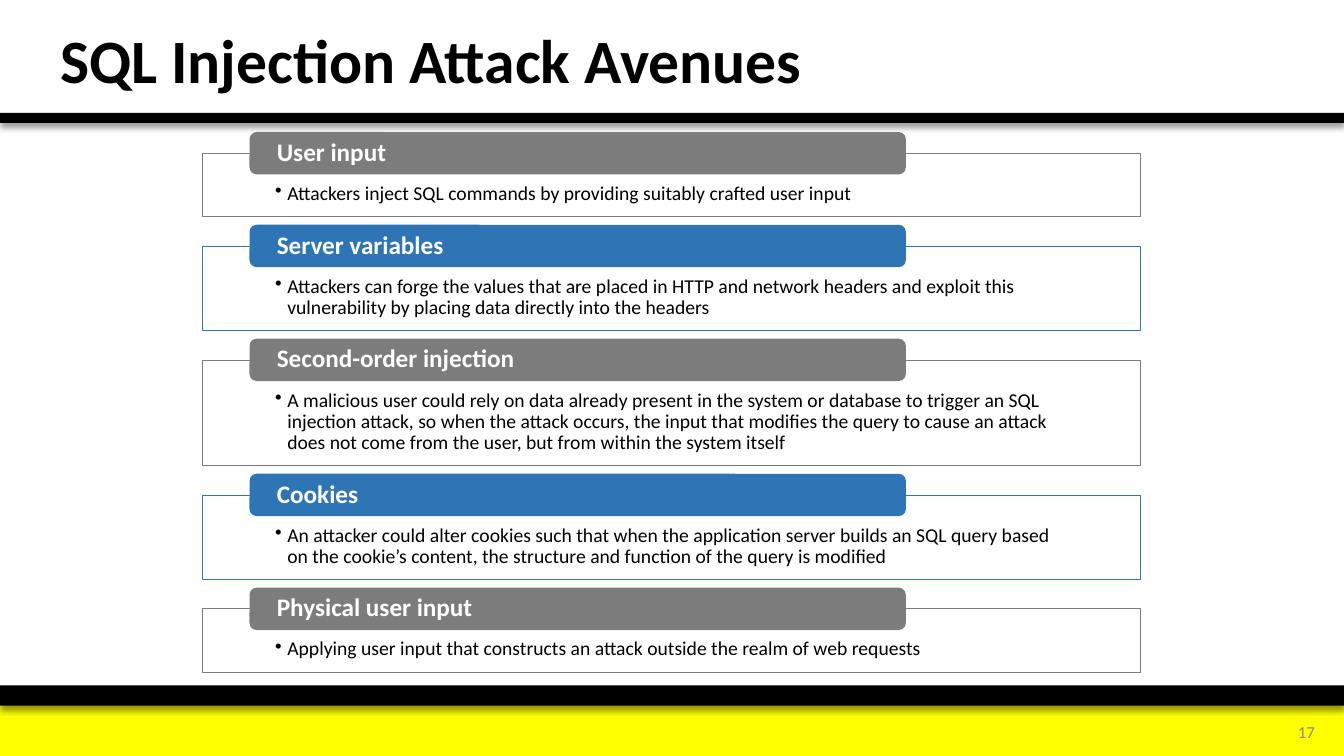
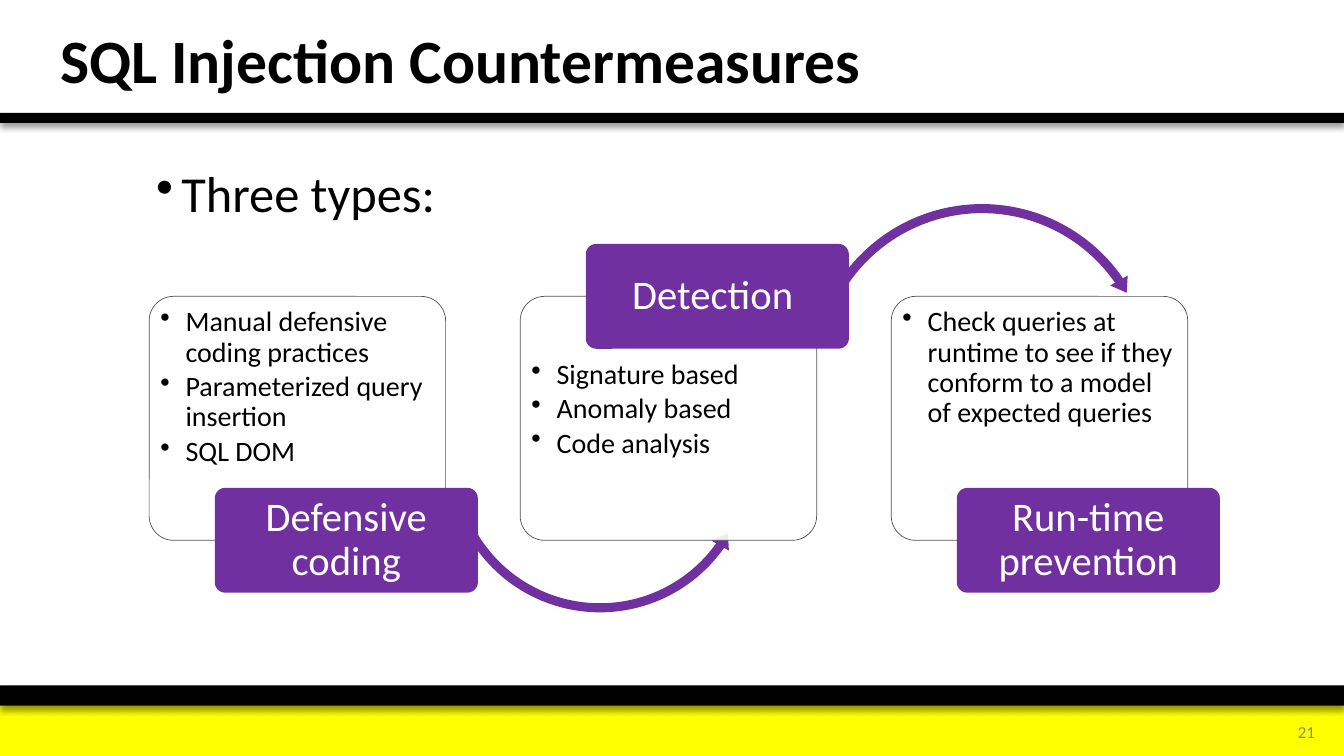
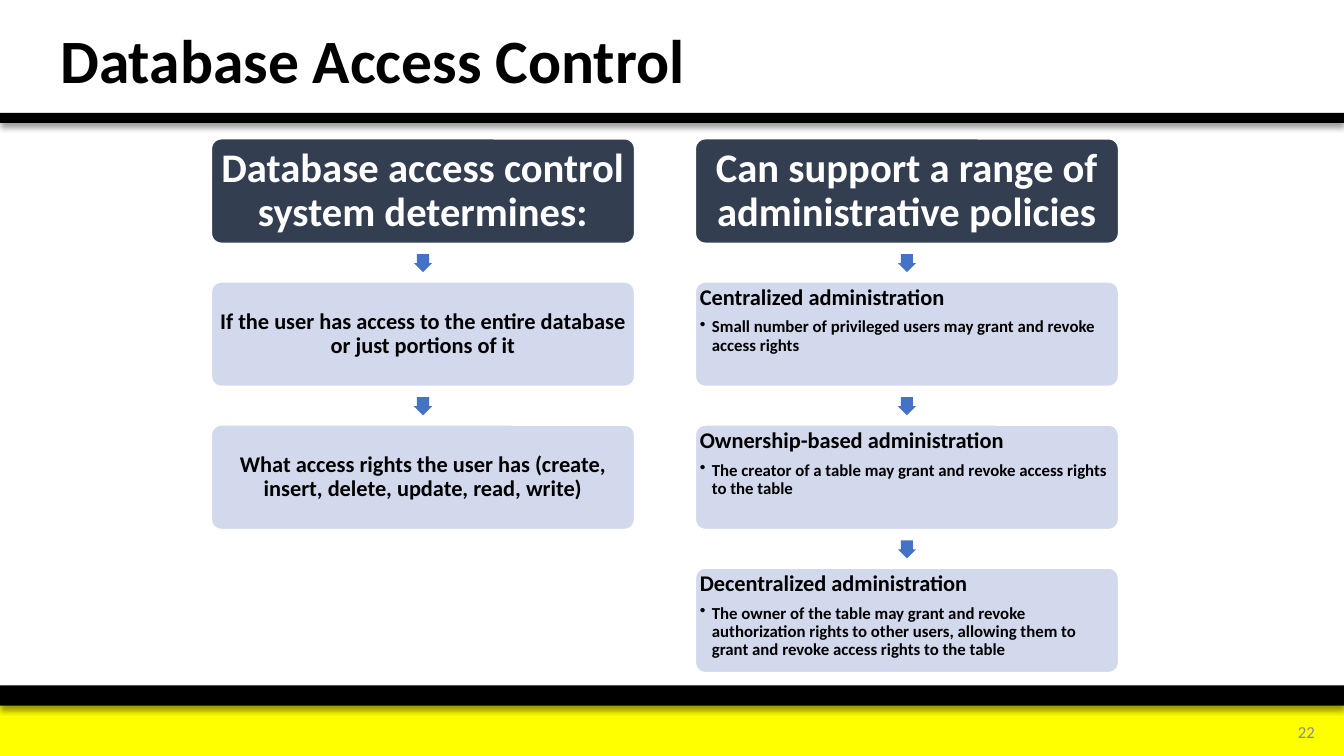
from dataclasses import dataclass

from lxml.etree import SubElement
from pptx import Presentation
from pptx.dml.color import RGBColor
from pptx.enum.shapes import MSO_SHAPE as SHAPE
from pptx.enum.text import MSO_ANCHOR as ANCHOR, PP_ALIGN as ALIGN
from pptx.oxml.ns import qn
from pptx.util import Inches, Pt

# Shared look
FONT = "Calibri"
BLACK = RGBColor(0x00, 0x00, 0x00)
WHITE = RGBColor(0xFF, 0xFF, 0xFF)
YELLOW = RGBColor(0xFF, 0xFF, 0x00)
NUMBER_GRAY = RGBColor(0x8C, 0x8C, 0x8C)
GRAY = RGBColor(0x7C, 0x7C, 0x7C)
BLUE = RGBColor(0x2E, 0x75, 0xB6)
OUTLINE = RGBColor(0x52, 0x52, 0x52)
PURPLE = RGBColor(0x70, 0x30, 0xA0)
NAVY = RGBColor(0x33, 0x3F, 0x50)
PALE_BLUE = RGBColor(0xCF, 0xD5, 0xEA)
ARROW_BLUE = RGBColor(0x44, 0x72, 0xC4)
SLIDE_W, SLIDE_H = 13.33, 7.5


@dataclass(frozen=True)
class Style:
    size: int
    color: RGBColor = BLACK
    bold: bool = False
    align: ALIGN = ALIGN.LEFT
    bullet: float = 0  # hanging indent in inches
    after: float = 0
    spacing: float = 0.9


TITLE = Style(44, bold=True)
NUMBER = Style(12, NUMBER_GRAY, align=ALIGN.RIGHT, spacing=1)
AVENUE_TAG = Style(18, WHITE, bold=True)
AVENUE_BODY = Style(14, bullet=0.12)
LEAD = Style(36, bullet=0.25)
STEP_BODY = Style(20, bullet=0.25, after=3)
STEP_TAG = Style(29, WHITE, align=ALIGN.CENTER)
CARD_HEAD = Style(29, WHITE, bold=True, align=ALIGN.CENTER)
CARD_TEXT = Style(16, bold=True, align=ALIGN.CENTER)
CARD_TITLE = Style(16, bold=True, after=5.6)
CARD_BULLET = Style(12, bold=True, bullet=0.12)


def write(shape, lines, anchor=ANCHOR.MIDDLE, insets=(0.1, 0.05, 0.1, 0.05)):
    """Fill a shape with (text, style) paragraphs."""
    tf = shape.text_frame
    tf.word_wrap = True
    tf.vertical_anchor = anchor
    (tf.margin_left, tf.margin_top,
     tf.margin_right, tf.margin_bottom) = [Inches(v) for v in insets]
    for i, (text, style) in enumerate(lines):
        p = tf.add_paragraph() if i else tf.paragraphs[0]
        p.text = text
        if style.bullet:
            pPr = p._p.get_or_add_pPr()
            pPr.set("marL", str(Inches(style.bullet)))
            pPr.set("indent", str(-Inches(style.bullet)))
            SubElement(pPr, qn("a:buChar"), char="•")
        p.alignment = style.align
        p.line_spacing = style.spacing
        p.space_after = Pt(style.after)
        for r in p.runs:
            r.font.name = FONT
            r.font.size = Pt(style.size)
            r.font.bold = style.bold
            r.font.color.rgb = style.color


def add_text(s, x, y, w, h, text, style, anchor=ANCHOR.MIDDLE):
    box = s.shapes.add_textbox(Inches(x), Inches(y), Inches(w), Inches(h))
    write(box, [(text, style)], anchor)


def add_box(s, kind, x, y, w, h, fill, line=None, line_w=0.5, alpha=100, adj=()):
    sp = s.shapes.add_shape(kind, Inches(x), Inches(y), Inches(w), Inches(h))
    sp.shadow.inherit = False
    sp.fill.solid()
    sp.fill.fore_color.rgb = fill
    if alpha < 100:
        color = sp._element.spPr.find(qn("a:solidFill"))[0]
        SubElement(color, qn("a:alpha"), val=str(alpha * 1000))
    if line is None:
        sp.line.fill.background()
    else:
        sp.line.color.rgb = line
        sp.line.width = Pt(line_w)
    for i, value in enumerate(adj):
        sp.adjustments[i] = value
    return sp


def add_band(s, y, h):
    """Black full-width band with a soft shadow below it."""
    band = add_box(s, SHAPE.RECTANGLE, 0, y, SLIDE_W, h, BLACK)
    effects = band._element.spPr.find(qn("a:effectLst"))
    shadow = SubElement(effects, qn("a:outerShdw"), blurRad=str(Pt(4)),
                        dist=str(Pt(3)), dir="5400000", algn="t", rotWithShape="0")
    color = SubElement(shadow, qn("a:srgbClr"), val=str(BLACK))
    SubElement(color, qn("a:alpha"), val="40000")


def new_slide(prs, title, number):
    s = prs.slides.add_slide(prs.slide_layouts[6])
    add_box(s, SHAPE.RECTANGLE, 0, 7, SLIDE_W, 0.5, YELLOW)
    add_band(s, 6.8, 0.2)
    add_band(s, 1.12, 0.1)
    add_text(s, 12.38, 7.06, 0.76, 0.4, str(number), NUMBER)
    add_text(s, 0.5, 0.07, 9, 1.12, title, TITLE)
    return s


# Attack avenues: outlined boxes with a tag on the top edge
AVENUES = [
    ("User input", 0.63,
     "Attackers inject SQL commands by providing suitably crafted user input"),
    ("Server variables", 0.84,
     "Attackers can forge the values that are placed in HTTP and network headers "
     "and exploit this vulnerability by placing data directly into the headers"),
    ("Second-order injection", 1.05,
     "A malicious user could rely on data already present in the system or database "
     "to trigger an SQL injection attack, so when the attack occurs, the input that "
     "modifies the query to cause an attack does not come from the user, but from "
     "within the system itself"),
    ("Cookies", 0.84,
     "An attacker could alter cookies such that when the application server builds "
     "an SQL query based on the cookie’s content, the structure and function of the "
     "query is modified"),
    ("Physical user input", 0.63,
     "Applying user input that constructs an attack outside the realm of web requests"),
]


def add_avenue(s, x, y, w, h, color, name, text):
    body = add_box(s, SHAPE.RECTANGLE, x, y, w, h, WHITE, color, alpha=90)
    write(body, [(text, AVENUE_BODY)], ANCHOR.TOP, (0.72, 0.3, 0.72, 0.11))
    tag = add_box(s, SHAPE.ROUNDED_RECTANGLE, x + 0.05 * w, y - 0.21,
                  0.7 * w, 0.42, color)
    write(tag, [(name, AVENUE_TAG)], insets=(0.25, 0, 0.25, 0))


def avenues_slide(prs):
    s = new_slide(prs, "SQL Injection Attack Avenues", 17)
    y, gap = 1.52, 0.29
    for i, (name, h, text) in enumerate(AVENUES):
        add_avenue(s, 2.01, y, 9.3, h, (GRAY, BLUE)[i % 2], name, text)
        y += h + gap


# Countermeasures: boxes with tags alternately below and above, joined by arcs
STEPS = [
    ("Defensive coding", ["Manual defensive coding practices",
                          "Parameterized query insertion", "SQL DOM"]),
    ("Detection ", ["Signature based", "Anomaly based", "Code analysis"]),
    ("Run-time prevention", ["Check queries at runtime to see if they conform "
                             "to a model of expected queries"]),
]
# kind, x and y from the box corner, size, then head, end and start angles
ARCS = [
    (SHAPE.LEFT_CIRCULAR_ARROW, 2.91, 0.07, 3.12, (5.65, 35.25, 150.4)),
    (SHAPE.CIRCULAR_ARROW, 2.83, -0.97, 3.5, (5.01, 325.4, 209.6)),
]


def add_arc(s, x, y, kind, dx, dy, size, angles):
    thickness, head = 0.09 / size, 0.1 / size
    turns = [a * 0.6 for a in angles]  # degrees to adjustment units
    add_box(s, kind, x + dx, y + dy, size, size, PURPLE,
            adj=(thickness, *turns, head))


def add_step(s, x, y, w, h, name, bullets, tag_on_top, arc):
    body = add_box(s, SHAPE.ROUNDED_RECTANGLE, x, y, w, h, WHITE, OUTLINE,
                   alpha=90, adj=(0.1,))
    top = 0.56 if tag_on_top else 0.04
    write(body, [(b, STEP_BODY) for b in bullets], ANCHOR.TOP,
          (0.04, top, 0.04, 0.04))
    if arc:
        add_arc(s, x, y, *arc)
    tag_h = 1.04
    tag_y = (y if tag_on_top else y + h) - tag_h / 2
    tag = add_box(s, SHAPE.ROUNDED_RECTANGLE, x + 0.65, tag_y, 2.61, tag_h,
                  PURPLE, adj=(0.1,))
    write(tag, [(name, STEP_TAG)], insets=(0.06, 0.04, 0.06, 0.04))


def countermeasures_slide(prs):
    s = new_slide(prs, "SQL Injection Countermeasures", 21)
    for i, (name, bullets) in enumerate(STEPS):
        arc = ARCS[i] if i < len(ARCS) else None
        add_step(s, 1.48 + 3.68 * i, 2.94, 2.94, 2.42, name, bullets, i % 2 == 1, arc)
    add_text(s, 1.45, 1.63, 3.41, 0.82, "Three types:", LEAD, ANCHOR.TOP)


# Access control: columns of cards joined by small arrows
COLUMNS = [
    ("Database access control system determines:", [
        ("If the user has access to the entire database or just portions of it",),
        ("What access rights the user has (create, insert, delete, update, read, write)",),
    ]),
    ("Can support a range of administrative policies", [
        ("Centralized administration",
         "Small number of privileged users may grant and revoke access rights"),
        ("Ownership-based administration",
         "The creator of a table may grant and revoke access rights to the table"),
        ("Decentralized administration",
         "The owner of the table may grant and revoke authorization rights to other "
         "users, allowing them to grant and revoke access rights to the table"),
    ]),
]


def add_card(s, x, y, w, h, fill, lines, anchor, inset, alpha=100):
    card = add_box(s, SHAPE.ROUNDED_RECTANGLE, x, y, w, h, fill, WHITE, 2,
                   alpha, (0.1,))
    write(card, lines, anchor, (inset,) * 4)


def add_column(s, x, y, w, head, cards):
    card_h, pitch, arrow = 1.05, 1.42, 0.18
    add_card(s, x, y, w, card_h, NAVY, [(head, CARD_HEAD)], ANCHOR.MIDDLE, 0.04)
    for texts in cards:
        add_box(s, SHAPE.DOWN_ARROW, x + (w - arrow) / 2, y + card_h + 0.1,
                arrow, arrow, ARROW_BLUE, adj=(0.67, 0.5))
        y += pitch
        if len(texts) == 1:
            lines, anchor = [(texts[0], CARD_TEXT)], ANCHOR.MIDDLE
        else:
            lines, anchor = list(zip(texts, (CARD_TITLE, CARD_BULLET))), ANCHOR.TOP
        add_card(s, x, y, w, card_h, PALE_BLUE, lines, anchor, 0.02, 90)


def access_control_slide(prs):
    s = new_slide(prs, "Database Access Control", 22)
    for i, (head, cards) in enumerate(COLUMNS):
        add_column(s, 2.09 + 4.8 * i, 1.37, 4.21, head, cards)


def main():
    prs = Presentation()
    prs.slide_width, prs.slide_height = Inches(SLIDE_W), Inches(SLIDE_H)
    avenues_slide(prs)
    countermeasures_slide(prs)
    access_control_slide(prs)
    prs.save("out.pptx")


if __name__ == "__main__":
    main()
